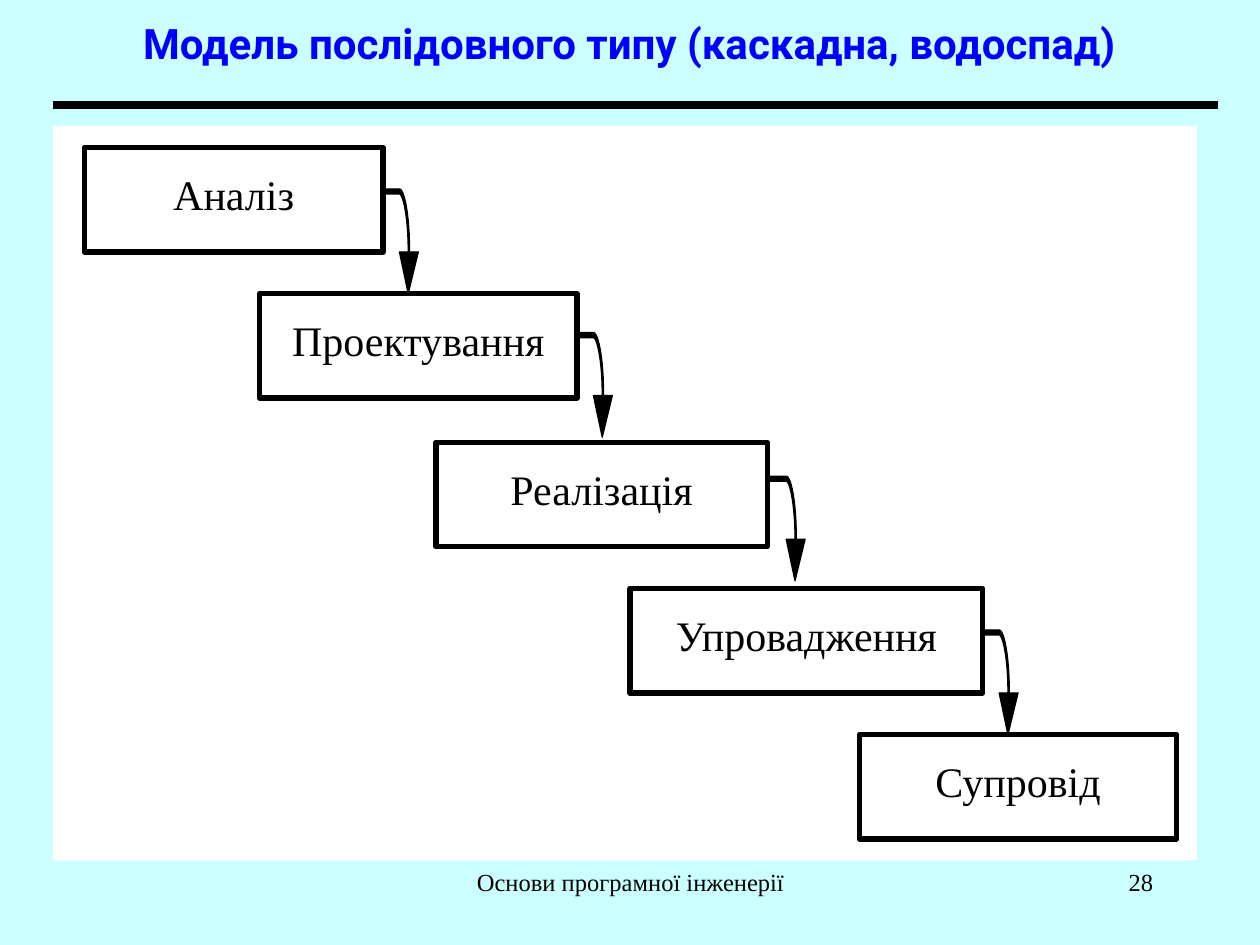
from dataclasses import dataclass

from pptx import Presentation
from pptx.dml.color import RGBColor
from pptx.enum.shapes import MSO_CONNECTOR, MSO_SHAPE
from pptx.enum.text import MSO_ANCHOR, PP_ALIGN
from pptx.oxml.xmlchemy import OxmlElement
from pptx.util import Inches, Pt

RECT = MSO_SHAPE.RECTANGLE
STRAIGHT = MSO_CONNECTOR.STRAIGHT
TOP, MIDDLE = MSO_ANCHOR.TOP, MSO_ANCHOR.MIDDLE
CENTER, RIGHT = PP_ALIGN.CENTER, PP_ALIGN.RIGHT


@dataclass(frozen=True)
class Theme:
    background: RGBColor = RGBColor(0xCC, 0xFF, 0xFF)
    panel: RGBColor = RGBColor(0xFF, 0xFF, 0xFF)
    ink: RGBColor = RGBColor(0, 0, 0)
    title: RGBColor = RGBColor(0, 0, 0xFF)
    title_font: str = "Roboto"
    body_font: str = "Times New Roman"
    large: int = 24
    small: int = 14


THEME = Theme()

STAGES = [
    ("Аналіз", 0.67, 1.17, 2.37),
    ("Проектування", 2.06, 2.33, 2.52),
    ("Реалізація", 3.46, 3.51, 2.63),
    ("Упровадження", 5, 4.67, 2.8),
    ("Супровід", 6.82, 5.83, 2.52),
]
STAGE_HEIGHT = 0.83
ARROW_STARTS = [(3.04, 1.5), (4.58, 2.64), (6.11, 3.78), (7.8, 5)]


def write(tf, text, size, font=THEME.body_font, color=THEME.ink, bold=False,
          align=CENTER, anchor=TOP, spacing=1.0, side=0.1):
    tf.word_wrap = True
    tf.vertical_anchor = anchor
    tf.margin_left = tf.margin_right = Inches(side)
    tf.margin_top = tf.margin_bottom = Inches(0.05)
    p = tf.paragraphs[0]
    p.alignment = align
    p.line_spacing = spacing
    r = p.add_run()
    r.text = text
    r.font.name = font
    r.font.size = Pt(size)
    r.font.bold = bold
    r.font.color.rgb = color


def add_title(s, text):
    sp = s.shapes.title
    sp.left, sp.top = Inches(0.33), Inches(0)
    sp.width, sp.height = Inches(9.33), Inches(0.67)
    write(sp.text_frame, text, THEME.large, font=THEME.title_font,
          color=THEME.title, bold=True, anchor=MIDDLE)


def add_box(s, x, y, w, h, line=None):
    sp = s.shapes.add_shape(RECT, Inches(x), Inches(y), Inches(w), Inches(h))
    sp.shadow.inherit = False
    sp.fill.solid()
    sp.fill.fore_color.rgb = THEME.panel
    if line:
        sp.line.color.rgb = THEME.ink
        sp.line.width = Pt(line)
    else:
        sp.line.fill.background()
    return sp


def add_stage(s, text, x, y, w):
    sp = add_box(s, x, y, w, STAGE_HEIGHT, line=3)
    write(sp.text_frame, text, THEME.large, spacing=1.3, side=0)


def add_rule(s, x1, x2, y):
    cn = s.shapes.add_connector(STRAIGHT, Inches(x1), Inches(y), Inches(x2), Inches(y))
    cn.line.color.rgb = THEME.ink
    cn.line.width = Pt(4.5)
    cn._element.spPr.append(OxmlElement("a:effectLst"))


def bezier(a, b, c, d, steps=12):
    points = []
    for i in range(steps + 1):
        t = i / steps
        u = 1 - t
        weights = (u ** 3, 3 * u * u * t, 3 * u * t * t, t ** 3)
        points.append(tuple(sum(k * q[axis] for k, q in zip(weights, (a, b, c, d)))
                            for axis in (0, 1)))
    return points


def add_step_arrow(s, x, y):
    outer = bezier((0.13, 0), (0.17, 0), (0.21, 0.21), (0.21, 0.48))
    head = [(0.21, 0.5), (0.28, 0.5), (0.2, 0.83), (0.13, 0.5), (0.2, 0.5)]
    inner = bezier((0.2, 0.48), (0.2, 0.24), (0.16, 0.04), (0.13, 0.04))
    outline = [*outer, *head, *inner, (0, 0.04)]
    builder = s.shapes.build_freeform(Inches(x), Inches(y))
    builder.add_line_segments([(Inches(x + dx), Inches(y + dy)) for dx, dy in outline])
    sp = builder.convert_to_shape()
    sp.shadow.inherit = False
    sp.fill.solid()
    sp.fill.fore_color.rgb = THEME.ink
    sp.line.color.rgb = THEME.ink
    sp.line.width = Pt(0.75)


def add_footer(s, text, x, w, align):
    sp = s.shapes.add_textbox(Inches(x), Inches(6.83), Inches(w), Inches(0.5))
    write(sp.text_frame, text, THEME.small, align=align)


def main():
    prs = Presentation()
    prs.slide_width, prs.slide_height = Inches(10), Inches(7.5)
    s = prs.slides.add_slide(prs.slide_layouts[5])
    s.background.fill.solid()
    s.background.fill.fore_color.rgb = THEME.background

    add_title(s, "Модель послідовного типу (каскадна, водоспад)")
    add_box(s, 0.42, 1, 9.08, 5.83)
    add_rule(s, 0.42, 9.67, 0.83)
    for stage in STAGES:
        add_stage(s, *stage)
    for start in ARROW_STARTS:
        add_step_arrow(s, *start)
    add_footer(s, "Основи програмної інженерії", 3.42, 3.17, CENTER)
    add_footer(s, "28", 7.17, 2.08, RIGHT)
    prs.save("out.pptx")


if __name__ == "__main__":
    main()
